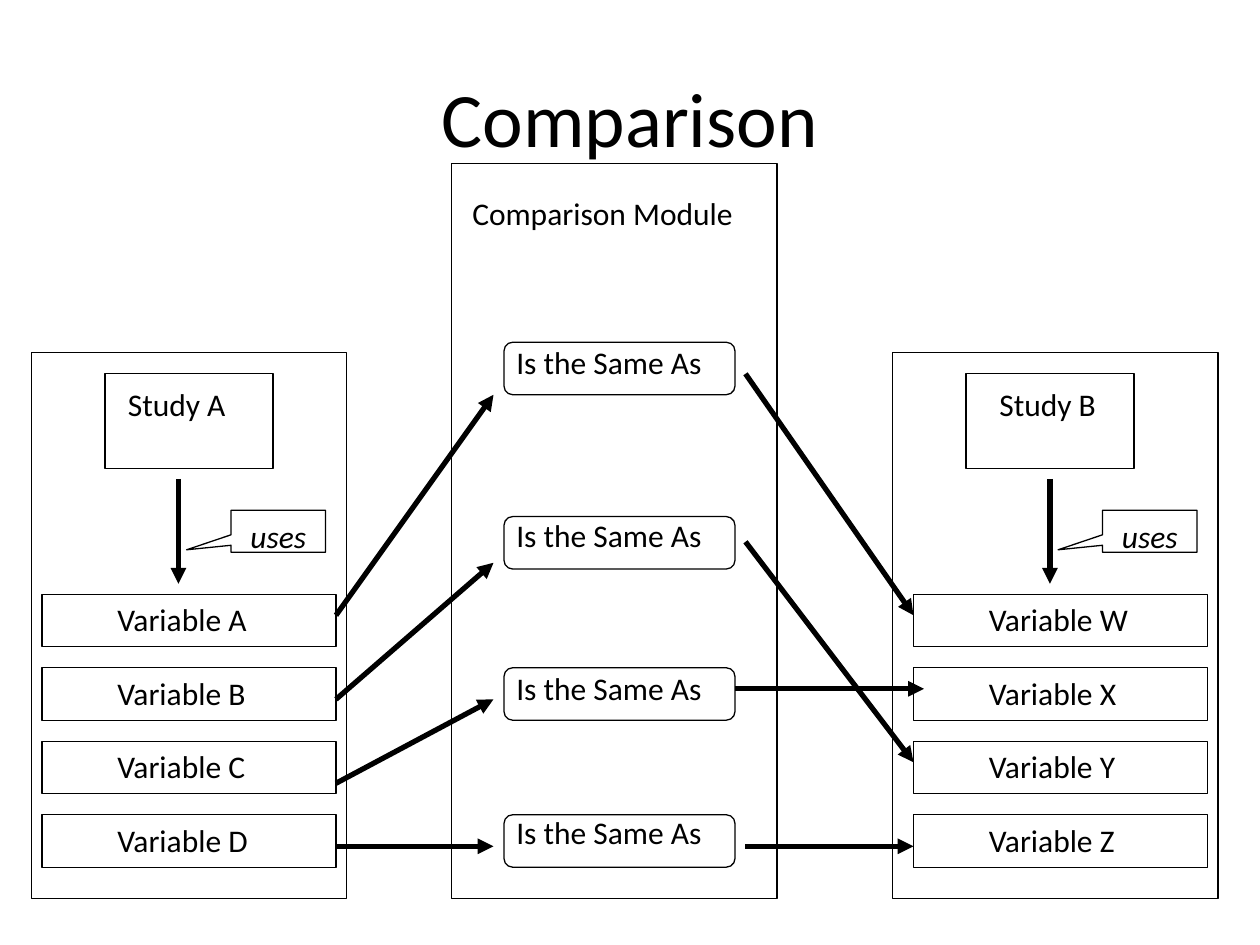
from lxml import etree
from pptx import Presentation
from pptx.dml.color import RGBColor
from pptx.enum.shapes import MSO_CONNECTOR, MSO_SHAPE
from pptx.enum.text import MSO_ANCHOR, MSO_AUTO_SIZE, PP_ALIGN
from pptx.oxml.ns import qn
from pptx.util import Inches, Pt

RECT = MSO_SHAPE.RECTANGLE
ROUNDED = MSO_SHAPE.ROUNDED_RECTANGLE
CALLOUT = MSO_SHAPE.RECTANGULAR_CALLOUT
STRAIGHT = MSO_CONNECTOR.STRAIGHT
TOP, MIDDLE = MSO_ANCHOR.TOP, MSO_ANCHOR.MIDDLE
LEFT, CENTER = PP_ALIGN.LEFT, PP_ALIGN.CENTER
GROW = MSO_AUTO_SIZE.SHAPE_TO_FIT_TEXT

COLORS = {"ink": "000000"}
FONT = "Calibri"
WIDTH, HEIGHT = Inches(10), Inches(7.5)
COLUMN, ROW = WIDTH // 120, HEIGHT // 90
TOP_MARGIN = Inches(0.05)
LABEL_ROWS = 4.8
VARIABLE_ROWS = (56, 63, 70, 77)
RELATIONS = ((32, 31.5), (48.6, 48), (63, 62.5), (77, 76.2))
LINKS = (
    (32, 58, 47, 37), (32, 66, 47, 53), (32, 74, 47, 66), (32, 80, 47, 80),
    (71, 35, 87, 58), (71, 51, 87, 72), (70, 65, 88, 65), (71, 80, 87, 80),
)


def place(column, row):
    """Return the slide point of a grid position."""
    return int(column * COLUMN), int(TOP_MARGIN + row * ROW)


def extent(columns, rows):
    """Return the size of a span of grid cells."""
    return int(columns * COLUMN), int(rows * ROW)


def ink():
    """Return the drawing colour."""
    return RGBColor.from_string(COLORS["ink"])


def write(frame, text, size=18, italic=False, align=LEFT, anchor=TOP):
    """Put formatted text into a text frame."""
    frame.vertical_anchor = anchor
    paragraph = frame.paragraphs[0]
    paragraph.alignment = align
    run = paragraph.add_run()
    run.text = text
    run.font.name = FONT
    run.font.size = Pt(size)
    run.font.italic = italic
    run.font.color.rgb = ink()


def add_label(slide, text, column, row, columns):
    """Add a one-line label that grows with its text."""
    label = slide.shapes.add_textbox(*place(column, row), *extent(columns, LABEL_ROWS))
    label.text_frame.word_wrap = False
    label.text_frame.auto_size = GROW
    write(label.text_frame, text)


def add_outline(slide, column, row, columns, rows, kind=RECT):
    """Add an unfilled shape with a thin outline."""
    outline = slide.shapes.add_shape(kind, *place(column, row), *extent(columns, rows))
    outline.shadow.inherit = False
    outline.fill.background()
    outline.line.color.rgb = ink()
    outline.line.width = Pt(0.75)
    return outline


def add_arrow(slide, column, row, end_column, end_row):
    """Add a thick arrow between two grid positions."""
    arrow = slide.shapes.add_connector(
        STRAIGHT, *place(column, row), *place(end_column, end_row))
    arrow.line.color.rgb = ink()
    arrow.line.width = Pt(3)
    etree.SubElement(arrow.line._get_or_add_ln(), qn("a:tailEnd"), type="triangle")
    etree.SubElement(arrow._element.spPr, qn("a:effectLst"))


def add_title(slide, text):
    """Add the slide title."""
    title = slide.shapes.add_textbox(*place(6, 3), *extent(108, 15))
    title.text_frame.word_wrap = True
    write(title.text_frame, text, size=44, align=CENTER, anchor=MIDDLE)


def add_study(slide, name, variables, panel, panel_columns, content):
    """Add a study panel with the variables that the study uses."""
    add_outline(slide, panel, 33, panel_columns, 52)
    add_outline(slide, panel + 7, 35, 16, 9)
    add_label(slide, f"Study {name}", content + 7, 35.5, 13)
    add_arrow(slide, content + 13, 45, content + 13, 55)
    uses = add_outline(slide, content + 18, 48, 9, 4, CALLOUT)
    uses.adjustments[0], uses.adjustments[1] = -0.97, 0.44
    write(uses.text_frame, "uses", italic=True, align=CENTER)
    for variable, row in zip(variables, VARIABLE_ROWS):
        add_outline(slide, content, row, 28, 5)
        add_label(slide, f"Variable {variable}", content + 6, row, 16.3)


def add_module(slide):
    """Add the module that relates the variables of both studies."""
    add_outline(slide, 43, 15, 31, 70)
    add_label(slide, "Comparison Module", 43.8, 17.3, 29.3)
    for row, label_row in RELATIONS:
        add_outline(slide, 48, row, 22, 5, ROUNDED)
        add_label(slide, "Is the Same As", 48, label_row, 22.8)


def main():
    """Build and save the slide."""
    deck = Presentation()
    deck.slide_width, deck.slide_height = WIDTH, HEIGHT
    slide = deck.slides.add_slide(deck.slide_layouts[6])
    add_title(slide, "Comparison")
    add_study(slide, "A", "ABCD", panel=3, panel_columns=30, content=4)
    add_study(slide, "B", "WXYZ", panel=85, panel_columns=31, content=87)
    add_module(slide)
    for link in LINKS:
        add_arrow(slide, *link)
    deck.save("out.pptx")


if __name__ == "__main__":
    main()
